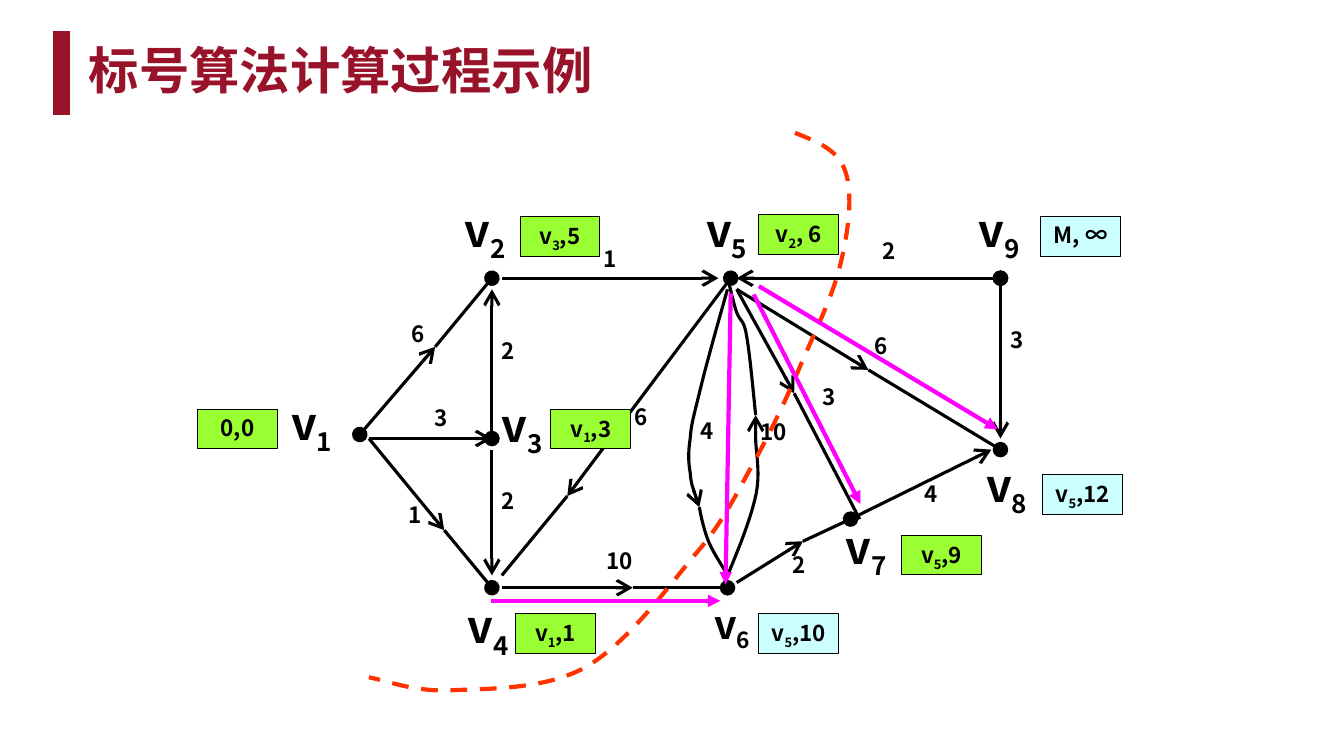
from itertools import pairwise

from lxml.etree import SubElement
from pptx import Presentation
from pptx.dml.color import RGBColor
from pptx.enum.dml import MSO_LINE_DASH_STYLE as Dash
from pptx.enum.shapes import MSO_CONNECTOR as Connector, MSO_SHAPE as Shape
from pptx.enum.text import MSO_ANCHOR as Anchor, MSO_AUTO_SIZE as AutoSize, PP_ALIGN as Align
from pptx.oxml.ns import qn
from pptx.util import Cm, Pt

# Content: all positions are in centimetres
TITLE = "标号算法计算过程示例"
FONT = "Noto Sans CJK SC"
COLORS = {"title": "981229", "ink": "000000", "permanent": "99FF33",
          "temporary": "CCFFFF", "cut": "FF3300", "candidate": "FF00FF"}

V1, V2, V3, V4 = (9.07, 10.95), (12.4, 7.01), (12.4, 11.05), (12.4, 14.81)
V5, V6, V7 = (18.42, 7.01), (18.34, 14.81), (21.44, 13.08)
V8, V9 = (25.22, 11.33), (25.22, 7.01)

# Vertex name: digit, left, top, font size
vertex_names = [
    ("1", 7.09, 9.87, 32), ("2", 11.46, 5, 32), ("3", 12.4, 9.91, 32),
    ("4", 11.53, 14.99, 32), ("5", 17.55, 5, 32), ("6", 17.75, 15.01, 28),
    ("7", 21.06, 12.98, 32), ("8", 24.61, 11.43, 32), ("9", 24.41, 5, 32),
]

# Route: points, mark at the start, mark at the end; inner points carry an arrow
routes = [
    ([V1, (10.97, 8.74), V2], "oval", "oval"),
    ([(9.3, 11.05), (11.2, 13.36), V4], None, "oval"),
    ([(9.3, 11.05), V3], None, "arrow"),
    ([V3, (12.4, 7.29)], "oval", "arrow"),
    ([(12.4, 11.33), (12.4, 14.5)], None, "arrow"),
    ([(12.65, 7.01), (18.11, 7.01)], None, "arrow"),
    ([(12.65, 14.81), (15.95, 14.81), V6], None, "oval"),
    ([V5, (14.3, 12.5), (12.65, 14.5)], "oval", None),
    ([(18.57, 7.29), (20.02, 9.91), (21.67, 13.08)], None, None),
    ([(18.57, 7.29), (21.89, 9.32), V8], None, "oval"),
    ([(18.57, 14.68), (20.24, 13.64), V7], None, "oval"),
    ([V7, (24.99, 11.33)], None, "arrow"),
    ([V9, (18.57, 7.01)], "oval", "arrow"),
    ([V9, (25.22, 11.05)], "oval", "arrow"),
]

# Curve between v5 and v6: start, then two controls and an end per piece; end mark
curved_edges = [
    ([(18.34, 7.29), (18.06, 8.28), (17.78, 9.27), (17.63, 9.91),
      (17.48, 10.52), (17.42, 10.72), (17.4, 11.05),
      (17.35, 11.38), (17.35, 11.63), (17.4, 11.91),
      (17.42, 12.19), (17.58, 12.67), (17.63, 12.78)], "arrow"),
    ([(17.63, 12.78), (17.68, 13.06), (17.75, 13.36), (17.86, 13.64),
      (17.98, 13.94), (18.26, 14.33), (18.34, 14.5)], None),
    ([(18.34, 14.5), (18.64, 13.79), (18.92, 13.08), (19.05, 12.5),
      (19.18, 11.91), (19.05, 11.38), (19.05, 11.05),
      (19.05, 10.72), (19.05, 10.57), (19.05, 10.46)], "arrow"),
    ([(19.05, 10.46), (18.97, 9.68), (18.9, 8.89), (18.82, 8.46),
      (18.75, 8.03), (18.67, 8.13), (18.57, 7.87),
      (18.49, 7.65), (18.39, 7.16), (18.34, 7.01)], None),
]
cut_curve = [
    (20.04, 3.35), (20.57, 3.56), (21.13, 3.76), (21.31, 4.32),
    (21.51, 4.88), (21.39, 5.84), (21.18, 6.68),
    (20.98, 7.52), (20.47, 8.51), (20.12, 9.35),
    (19.76, 10.19), (19.43, 10.87), (19, 11.66),
    (18.57, 12.42), (18.24, 13.16), (17.5, 14),
    (16.79, 14.86), (15.75, 16.28), (14.71, 16.84),
    (13.67, 17.4), (12.17, 17.35), (11.28, 17.4),
    (10.36, 17.42), (9.65, 17.12), (9.3, 17.07),
]

# Edge weight: text, centre x, top
weights = [
    ("6", 10.53, 8.03), ("3", 11.11, 10.13), ("1", 10.46, 12.57),
    ("2", 12.82, 8.46), ("2", 12.82, 12.22), ("1", 15.38, 6.12),
    ("6", 16.15, 10.11), ("10", 15.61, 13.74), ("4", 17.82, 10.46),
    ("10", 19.51, 10.49), ("2", 22.42, 5.92), ("6", 22.21, 8.31),
    ("3", 20.89, 9.6), ("2", 20.15, 13.84), ("4", 23.46, 12.04),
    ("3", 25.64, 8.18),
]

# Vertex state: text parts (the second is a subscript), left, top, kind
states = [
    (("0,0",), 4.98, 10.31, "permanent"),
    (("v", "3", ",5"), 13.11, 5.46, "permanent"),
    (("v", "1", ",3"), 13.89, 10.31, "permanent"),
    (("v", "1", ",1"), 13, 15.47, "permanent"),
    (("v", "2", ", 6"), 19.13, 5.41, "permanent"),
    (("v", "5", ",10"), 19.13, 15.47, "temporary"),
    (("v", "5", ",9"), 22.73, 13.49, "permanent"),
    (("v", "5", ",12"), 26.29, 11.96, "temporary"),
    (("M, ∞",), 26.24, 5.46, "temporary"),
]
candidates = [
    ((19.13, 7.21), (25.15, 10.82)), ((19, 7.42), (21.69, 12.7)),
    ((12.37, 15.14), (18.16, 15.14)), ((18.42, 7.39), (18.29, 14.73)),
]

deck = Presentation()
deck.slide_width, deck.slide_height = Cm(33.88), Cm(19.05)
slide = deck.slides.add_slide(deck.slide_layouts[5])
shapes = slide.shapes


def write(frame, parts, size, color="ink", align=Align.LEFT, anchor=Anchor.TOP, wrap=True):
    frame.auto_size = AutoSize.NONE
    frame.word_wrap = wrap
    frame.vertical_anchor = anchor
    paragraph = frame.paragraphs[0]
    paragraph.alignment = align
    paragraph.line_spacing = 0.9
    font = paragraph.font
    font.name, font.size, font.bold = FONT, Pt(size), True
    font.color.rgb = RGBColor.from_string(COLORS[color])
    SubElement(font._rPr, qn("a:ea"), typeface=FONT)
    for index, part in enumerate(parts):
        run = paragraph.add_run()
        run.text = part
        if index == 1:
            run._r.get_or_add_rPr().set("baseline", "-25000")


def style_line(line, color, width, start=None, end=None, mark_size="lg"):
    line.color.rgb = RGBColor.from_string(COLORS[color])
    line.width = Pt(width)
    for tag, mark in (("a:headEnd", start), ("a:tailEnd", end)):
        if mark:
            SubElement(line._get_or_add_ln(), qn(tag), type=mark, w=mark_size, len=mark_size)


def add_line(start, end, *style):
    connector = shapes.add_connector(Connector.STRAIGHT, *map(Cm, start + end))
    style_line(connector.line, *style)
    SubElement(connector._element.spPr, qn("a:effectLst"))


def add_curve(points):
    start, *rest = [(Cm(x), Cm(y)) for x, y in points]
    builder = shapes.build_freeform(*start)
    builder.add_line_segments(rest, close=False)
    curve = builder.convert_to_shape()
    curve.fill.background()
    curve.shadow.inherit = False
    # Every three straight steps become one Bézier piece
    outline = next(curve._element.iter(qn("a:path")))
    steps = outline.findall(qn("a:lnTo"))
    for first in range(0, len(steps), 3):
        bezier = SubElement(outline, qn("a:cubicBezTo"))
        for step in steps[first:first + 3]:
            bezier.append(step[0])
            outline.remove(step)
    return curve


# Title and its bar
title = shapes.title
title.left, title.top, title.width, title.height = Cm(1.98), Cm(1.04), Cm(30.76), Cm(1.78)
write(title.text_frame, [TITLE], 36, "title")
add_line((1.55, 0.79), (1.55, 2.9), "title", 12)

# Graph edges
for points, start_mark, end_mark in routes:
    for start, end in pairwise(points):
        add_line(start, end, "ink", 2.25,
                 start_mark if start == points[0] else None,
                 end_mark if end == points[-1] else "arrow")
for points, end_mark in curved_edges:
    style_line(add_curve(points).line, "ink", 2.25, None, end_mark)

# Vertex names and edge weights
for digit, left, top, size in vertex_names:
    box = shapes.add_textbox(Cm(left), Cm(top), Cm(1.8), Cm(1.8))
    write(box.text_frame, ("v", digit), size)
WEIGHT_W = 1.4
for weight, center, top in weights:
    box = shapes.add_textbox(Cm(center - WEIGHT_W / 2), Cm(top), Cm(WEIGHT_W), Cm(0.94))
    write(box.text_frame, [weight], 16, align=Align.CENTER)

# Vertex states
for parts, left, top, kind in states:
    state = shapes.add_shape(Shape.RECTANGLE, Cm(left), Cm(top), Cm(2.01), Cm(1))
    state.shadow.inherit = False
    state.fill.solid()
    state.fill.fore_color.rgb = RGBColor.from_string(COLORS[kind])
    style_line(state.line, "ink", 0.75)
    write(state.text_frame, parts, 16, align=Align.CENTER, anchor=Anchor.MIDDLE, wrap=False)

# Cut and candidate edges
cut = add_curve(cut_curve)
cut.line.dash_style = Dash.DASH
style_line(cut.line, "cut", 3)
for start, end in candidates:
    add_line(start, end, "candidate", 3, None, "triangle", "med")

deck.save("out.pptx")
